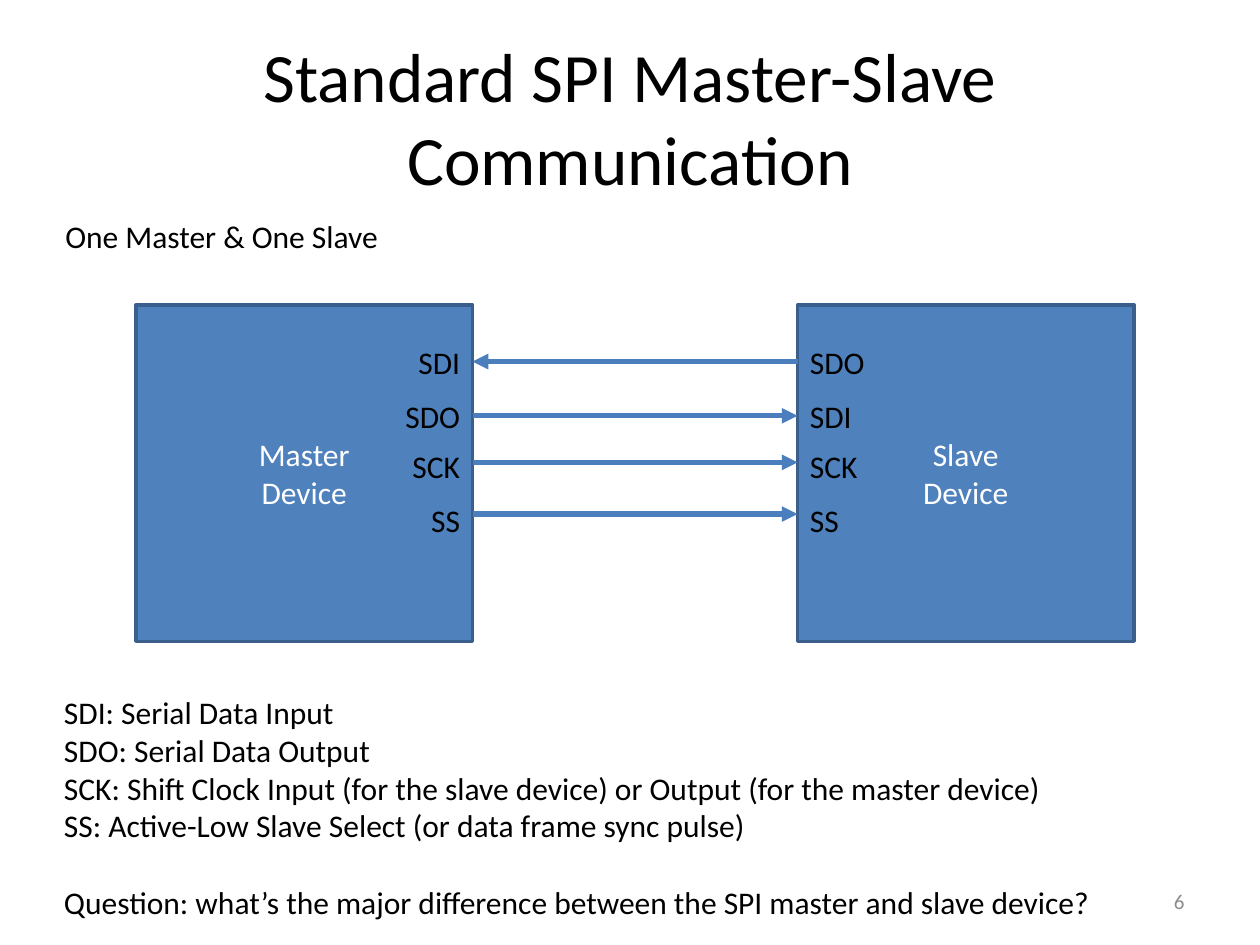
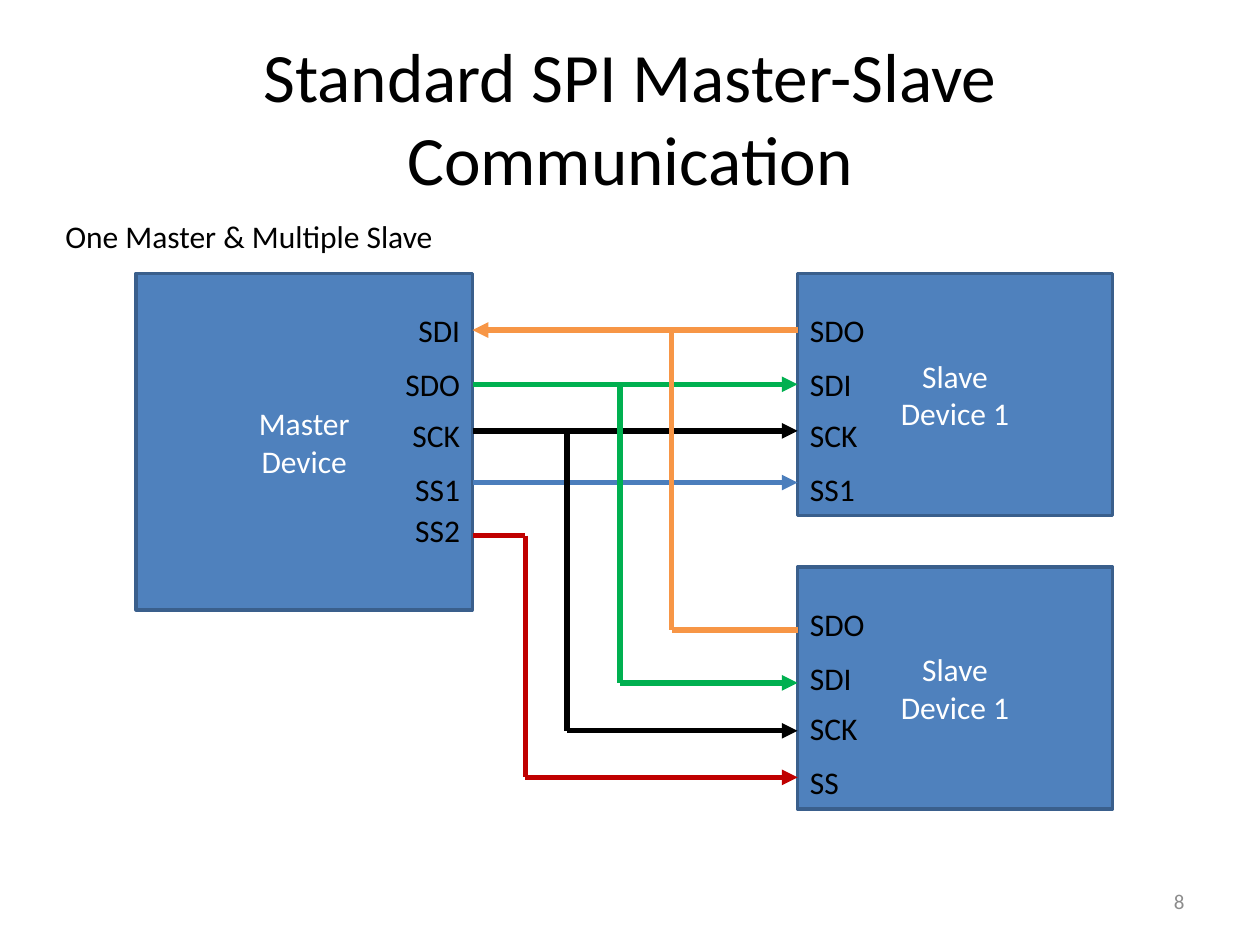
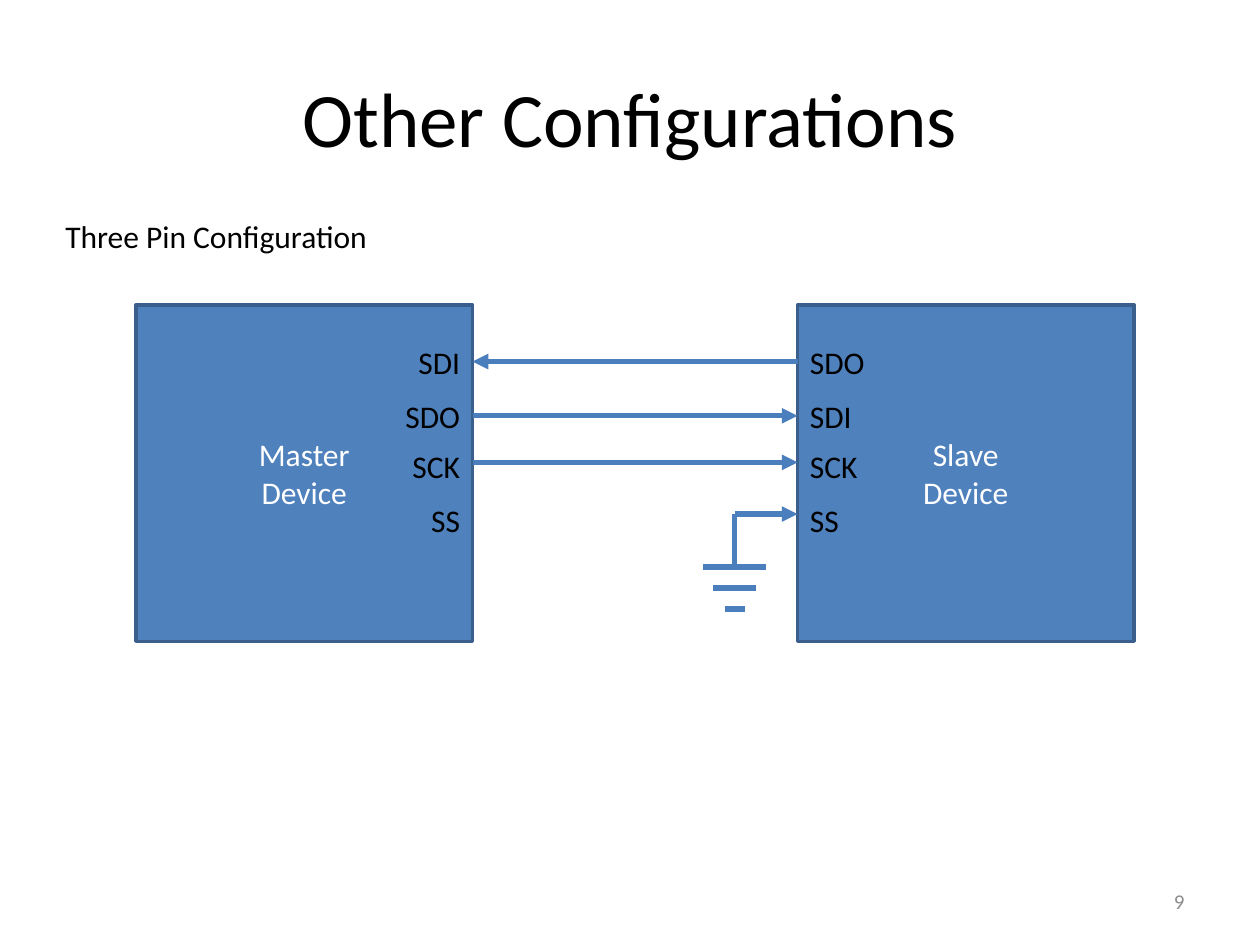
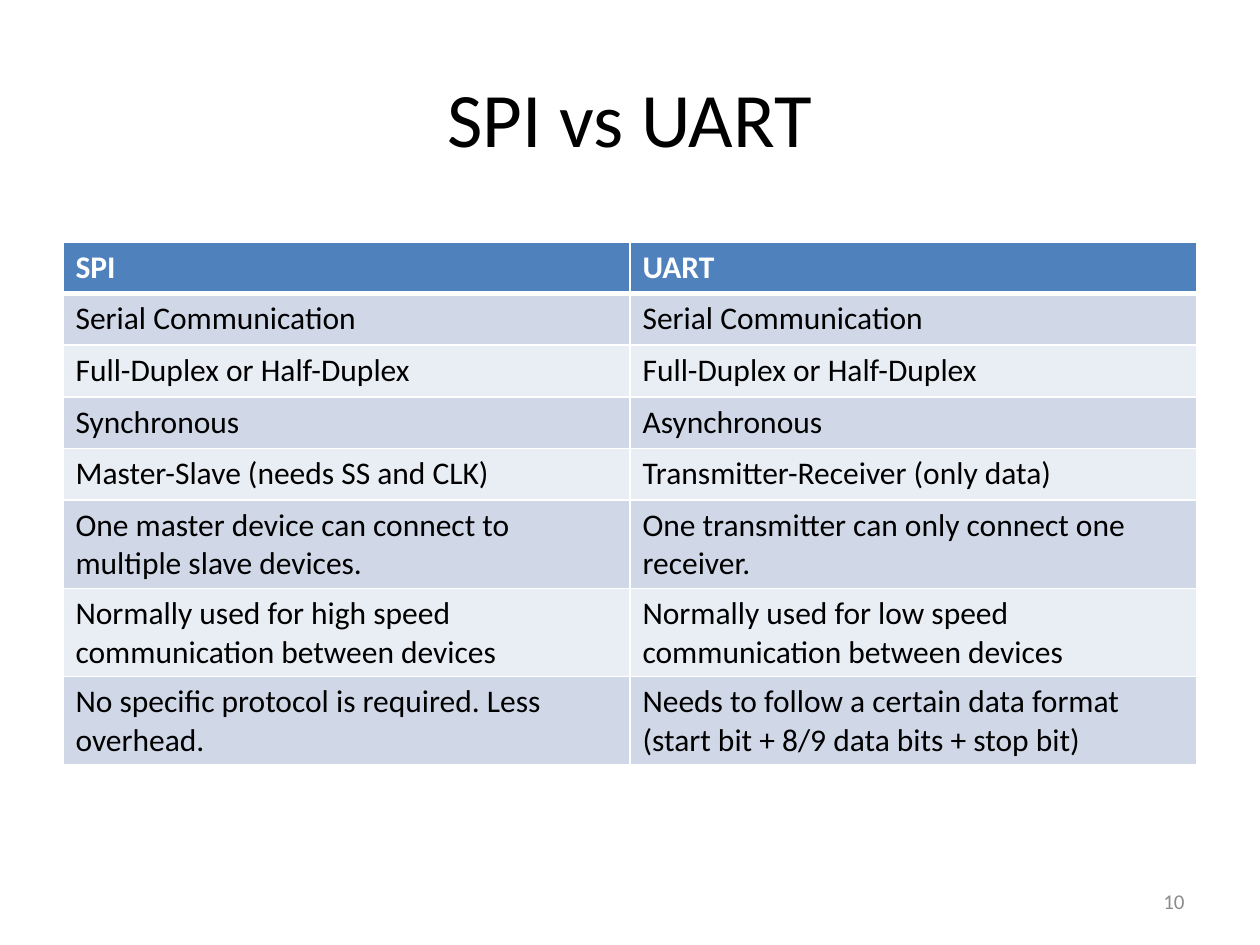
from lxml import etree
from pptx import Presentation
from pptx import util as u
from pptx.dml.color import RGBColor
from pptx.enum import shapes, text
from pptx.oxml.ns import qn

COLORS = {
    "text": "000000", "white": "FFFFFF", "number": "8C8C8C",
    "box": "4F81BD", "box_line": "3A5F8C", "wire": "4B7EBC",
    "orange": "F79646", "green": "00B050", "black": "000000", "red": "C00000",
    "band_dark": "D0D8E8", "band_light": "E9EDF4",
}
FONT = "Calibri"
ALIGN = text.PP_ALIGN
MIDDLE = text.MSO_ANCHOR.MIDDLE

MASTER_X, MASTER_RIGHT = 1.08, 3.75
SLAVE_X = 6.33
BOX_SIZE = 2.67
PIN_W = 0.67
PIN_TOPS = [0.25, 0.68, 1.08, 1.51, 1.84]    # label offsets from the top of a device
WIRE_TOPS = [0.45, 0.88, 1.25, 1.66, 2.08]   # wire offsets from the top of a device
MASTER_PINS = ["SDI", "SDO", "SCK", "SS"]
SLAVE_PINS = ["SDO", "SDI", "SCK", "SS"]


def rgb(name):
    return RGBColor.from_string(COLORS[name])


def inches(*values):
    return [u.Inches(v) for v in values]


class Deck:
    def __init__(self):
        self.prs = Presentation()
        self.prs.slide_width, self.prs.slide_height = inches(10, 7.5)
        self.s = None

    def slide(self, title, number, size=44):
        self.s = self.prs.slides.add_slide(self.prs.slide_layouts[6])
        self.text(title, 0.5, 0.3, 9, 1.25, size, align=ALIGN.CENTER, anchor=MIDDLE)
        self.text(str(number), 7.17, 6.95, 2.33, 0.4, 12, "number", ALIGN.RIGHT, MIDDLE)

    def style(self, tf, size=18, color="text", align=ALIGN.LEFT, bold=False):
        for p in tf.paragraphs:
            p.alignment = align
            for r in p.runs:
                r.font.name, r.font.size, r.font.bold = FONT, u.Pt(size), bold
                r.font.color.rgb = rgb(color)

    def text(self, words, x, y, w, h, size=18, color="text", align=ALIGN.LEFT, anchor=None):
        tf = self.s.shapes.add_textbox(*inches(x, y, w, h)).text_frame
        tf.word_wrap = True
        if anchor is not None:
            tf.vertical_anchor = anchor
        tf.text = words
        self.style(tf, size, color, align)
        return tf

    def subtitle(self, words):
        self.text(words, 0.42, 1.67, 4, 0.4)

    def device(self, words, x, y, w, h, pins, pin_x, pin_align):
        sp = self.s.shapes.add_shape(shapes.MSO_SHAPE.RECTANGLE, *inches(x, y, w, h))
        sp.shadow.inherit = False
        sp.fill.solid()
        sp.fill.fore_color.rgb = rgb("box")
        sp.line.color.rgb = rgb("box_line")
        sp.line.width = u.Pt(2)
        tf = sp.text_frame
        tf.text = words
        tf.vertical_anchor = MIDDLE
        self.style(tf, color="white", align=ALIGN.CENTER)
        for pin, top in zip(pins, PIN_TOPS):
            self.text(pin, pin_x, y + top, PIN_W, 0.4, align=pin_align)

    def master(self, y, pins=MASTER_PINS):
        self.device("Master\nDevice", MASTER_X, y, BOX_SIZE, BOX_SIZE, pins,
                    MASTER_RIGHT - PIN_W, ALIGN.RIGHT)

    def slave(self, y, words="Slave\nDevice", w=BOX_SIZE, h=BOX_SIZE, pins=SLAVE_PINS):
        self.device(words, SLAVE_X, y, w, h, pins, SLAVE_X, ALIGN.LEFT)

    def wire(self, points, color="wire", arrow=False):
        """Join the points with straight lines; an arrowhead goes on the last one."""
        for i, (start, end) in enumerate(zip(points, points[1:]), 2):
            c = self.s.shapes.add_connector(shapes.MSO_CONNECTOR.STRAIGHT,
                                            *inches(*start, *end))
            c.line.color.rgb = rgb(color)
            c.line.width = u.Pt(3)
            if arrow and i == len(points):
                ln = c.line._get_or_add_ln()
                etree.SubElement(ln, qn("a:tailEnd")).set("type", "triangle")
            etree.SubElement(c._element.spPr, qn("a:effectLst"))

    def bus(self, y, colors):
        """Wires from master to slave; the first one runs back to the master."""
        for i, (top, color) in enumerate(zip(WIRE_TOPS, colors)):
            points = [(MASTER_RIGHT, y + top), (SLAVE_X, y + top)]
            self.wire(points if i else points[::-1], color, arrow=True)

    def borders(self, cell, top, bottom):
        tcPr = cell._tc.get_or_add_tcPr()
        for side, width in (("L", 1), ("R", 1), ("T", top), ("B", bottom)):
            ln = etree.SubElement(tcPr, qn(f"a:ln{side}"), w=str(u.Pt(width)))
            fill = etree.SubElement(ln, qn("a:solidFill"))
            etree.SubElement(fill, qn("a:srgbClr"), val=COLORS["white"])

    def table(self, rows, x, y, w, row_h):
        shape = self.s.shapes.add_table(len(rows), len(rows[0]),
                                        *inches(x, y, w, row_h * len(rows)))
        for i, row in enumerate(rows):
            shape.table.rows[i].height = u.Inches(row_h)
            band = "band_dark" if i % 2 else "band_light"
            for j, words in enumerate(row):
                cell = shape.table.cell(i, j)
                cell.text = words
                self.style(cell.text_frame, color="text" if i else "white", bold=i == 0)
                self.borders(cell, 3 if i == 1 else 1, 1 if i else 3)
                cell.fill.solid()
                cell.fill.fore_color.rgb = rgb(band if i else "box")


def one_slave(deck):
    deck.slide("Standard SPI Master-Slave Communication", 6, 39.6)
    deck.subtitle("One Master & One Slave")
    y = 2.42
    deck.master(y)
    deck.slave(y)
    deck.bus(y, ["wire"] * 4)
    tf = deck.text("\n".join([
        "SDI: Serial Data Input",
        "SDO: Serial Data Output",
        "SCK: Shift Clock Input (for the slave device) or Output (for the master device)",
        "SS: Active-Low Slave Select (or data frame sync pulse)",
        "Question: what’s the major difference between the SPI master and slave device?",
    ]), 0.41, 5.45, 8.5, 1.92)
    tf.paragraphs[-1].space_before = u.Pt(22)


def multiple_slaves(deck):
    deck.slide("Standard SPI Master-Slave Communication", 8, 39.6)
    deck.subtitle("One Master & Multiple Slave")
    y, y2 = 2.17, 4.5
    deck.master(y, ["SDI", "SDO", "SCK", "SS1", "SS2"])
    deck.slave(y, "Slave\nDevice 1", 2.5, 1.92, ["SDO", "SDI", "SCK", "SS1"])
    deck.slave(y2, "Slave\nDevice 1", 2.5, 1.92)
    deck.bus(y, ["orange", "green", "black", "wire"])

    sdi, sdo, sck, _, ss2 = [y + top for top in WIRE_TOPS]
    branches = [("orange", 5.33, sdi, 5), ("green", 4.92, sdo, 5.42), ("black", 4.5, sck, 5.8)]
    for color, x, top, bottom in branches:
        deck.wire([(x, top), (x, bottom), (SLAVE_X, bottom)], color, arrow=color != "orange")
    deck.wire([(MASTER_RIGHT, ss2), (4.17, ss2), (4.17, 6.17), (SLAVE_X, 6.17)],
              "red", arrow=True)


def three_pins(deck):
    deck.slide("Other Configurations", 9)
    deck.subtitle("Three Pin Configuration")
    y = 2.42
    deck.master(y)
    deck.slave(y)
    deck.bus(y, ["wire"] * 3)
    ground_x, ground_y, ss = 5.83, 4.5, y + WIRE_TOPS[3]
    deck.wire([(ground_x, ground_y), (ground_x, ss), (SLAVE_X, ss)], arrow=True)
    for i, half in enumerate([0.25, 0.17, 0.08]):
        bar_y = ground_y + i / 6
        deck.wire([(ground_x - half, bar_y), (ground_x + half, bar_y)])


def comparison(deck):
    deck.slide("SPI vs UART", 10)
    deck.table([
        ("SPI", "UART"),
        ("Serial Communication", "Serial Communication"),
        ("Full-Duplex or Half-Duplex", "Full-Duplex or Half-Duplex"),
        ("Synchronous", "Asynchronous"),
        ("Master-Slave (needs SS and CLK)", "Transmitter-Receiver (only data)"),
        ("One master device can connect to multiple slave devices.",
         "One transmitter can only connect one receiver."),
        ("Normally used for high speed communication between devices",
         "Normally used for low speed communication between devices"),
        ("No specific protocol is required. Less overhead.",
         "Needs to follow a certain data format (start bit + 8/9 data bits + stop bit)"),
    ], 0.5, 1.92, 9, 0.41)


def main():
    deck = Deck()
    for build in (one_slave, multiple_slaves, three_pins, comparison):
        build(deck)
    deck.prs.save("out.pptx")


if __name__ == "__main__":
    main()
